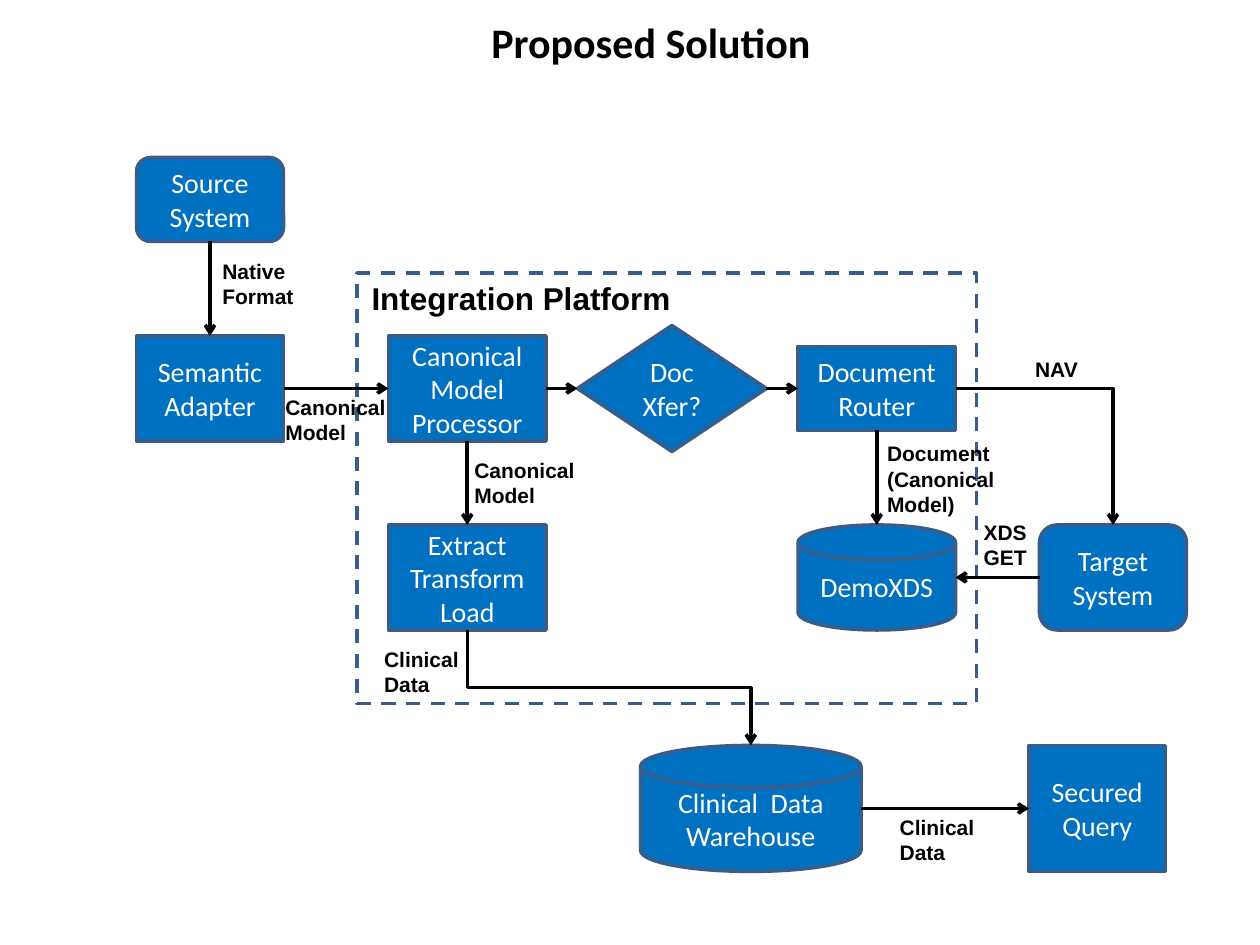
from lxml.etree import SubElement
from pptx import Presentation
from pptx.dml.color import RGBColor
from pptx.enum.dml import MSO_LINE
from pptx.enum.shapes import MSO_CONNECTOR, MSO_SHAPE
from pptx.enum.text import MSO_ANCHOR, PP_ALIGN
from pptx.oxml.ns import qn
from pptx.util import Inches, Pt

COLUMNS, ROWS = 120, 90
CELL = Inches(10) / COLUMNS
TOP, LEFT, BOTTOM, RIGHT = range(4)
BLUE, EDGE, BLACK, WHITE = "0070C0", "385D8A", "000000", "FFFFFF"
RECT, ROUNDED = MSO_SHAPE.RECTANGLE, MSO_SHAPE.ROUNDED_RECTANGLE
DISK, DIAMOND = MSO_SHAPE.FLOWCHART_MAGNETIC_DISK, MSO_SHAPE.FLOWCHART_DECISION

TITLE = dict(name="Calibri", size=Pt(24), bold=True)
NODE = dict(name="Calibri", size=Pt(16), bold=False)
HEADING = dict(name="Arial", size=Pt(18), bold=True)
LABEL = dict(name="Arial", size=Pt(12), bold=True)


def rgb(color):
    return RGBColor.from_string(color)


def grid(*cells):
    return [round(cell * CELL) for cell in cells]


def write(frame, text, style, color, align):
    frame.text = text
    for paragraph in frame.paragraphs:
        paragraph.alignment = align
        for key, value in style.items():
            setattr(paragraph.font, key, value)
        paragraph.font.color.rgb = rgb(color)


def node(slide, box, col, row, cols, rows, kind, text):
    """Blue flowchart step, placed from the corner of its region."""
    shape = slide.shapes.add_shape(kind, *grid(box[0] + col, box[1] + row, cols, rows))
    shape.shadow.inherit = False
    shape.fill.solid()
    shape.fill.fore_color.rgb = rgb(BLUE)
    shape.line.color.rgb = rgb(EDGE)
    shape.line.width = Pt(2)
    shape.text_frame.vertical_anchor = MSO_ANCHOR.MIDDLE
    write(shape.text_frame, text, NODE, WHITE, PP_ALIGN.CENTER)
    return shape


def label(slide, box, col, row, cols, text, style=LABEL):
    """Caption wide enough for its longest line and as tall as its lines."""
    rows = 1.2 + 2.4 * len(text.split("\n")) * style["size"].pt / 12
    caption = slide.shapes.add_textbox(*grid(box[0] + col, box[1] + row, cols, rows))
    caption.text_frame.word_wrap = True
    write(caption.text_frame, text, style, BLACK, PP_ALIGN.LEFT)


def side_point(shape, side):
    x = shape.left + {LEFT: 0, RIGHT: shape.width}.get(side, shape.width // 2)
    y = shape.top + {TOP: 0, BOTTOM: shape.height}.get(side, shape.height // 2)
    return x, y


def link(slide, source, source_side, target, target_side, route=MSO_CONNECTOR.STRAIGHT):
    """Arrow between two sides; disks number their sites differently, so stay unglued."""
    start, end = side_point(source, source_side), side_point(target, target_side)
    arrow = slide.shapes.add_connector(route, *start, *end)
    if source.auto_shape_type != DISK:
        arrow.begin_connect(source, source_side)
    if target.auto_shape_type != DISK:
        arrow.end_connect(target, target_side)
    arrow.line.color.rgb = rgb(BLACK)
    arrow.line.width = Pt(2)
    SubElement(arrow.line._get_or_add_ln(), qn("a:tailEnd"), type="arrow")
    properties = arrow._element.spPr
    SubElement(properties, qn("a:effectLst"))
    if route == MSO_CONNECTOR.ELBOW and source_side == BOTTOM:
        # Down, across, down: a quarter turn about the same centre
        width, height = end[0] - start[0], end[1] - start[1]
        arrow.left, arrow.top = start[0] + (width - height) // 2, start[1] + (height - width) // 2
        arrow.width, arrow.height = height, width
        properties.xfrm.set("rot", "16200000")
        properties.xfrm.set("flipH", "1")
    elif route == MSO_CONNECTOR.ELBOW:
        # Across, then down
        properties.find(qn("a:prstGeom")).set("prst", "bentConnector2")


def title(slide, box):
    heading = slide.shapes.add_textbox(*grid(*box))
    heading.text_frame.word_wrap = True
    write(heading.text_frame, "Proposed Solution", TITLE, BLACK, PP_ALIGN.CENTER)


def source_side(slide, box):
    width = box[2]
    system = node(slide, box, 0, 0, width, 8, ROUNDED, "Source System")
    adapter = node(slide, box, 0, 17, width, 10, RECT, "Semantic Adapter")
    link(slide, system, BOTTOM, adapter, TOP)
    label(slide, box, 7, 9, 10, "Native\nFormat")
    label(slide, box, 13, 22, 13, "Canonical\nModel")
    return adapter


def platform(slide, box):
    frame = slide.shapes.add_shape(RECT, *grid(*box))
    frame.shadow.inherit = False
    frame.fill.background()
    frame.line.color.rgb = rgb(EDGE)
    frame.line.width = Pt(2)
    frame.line.dash_style = MSO_LINE.DASH
    label(slide, box, 0.2, 0, 33, "Integration Platform", HEADING)

    # Upper row, then the stores below it
    processor = node(slide, box, 3, 6, 15, 10, RECT, "Canonical\nModel\nProcessor")
    decision = node(slide, box, 21, 5, 18, 12, DIAMOND, "Doc Xfer?")
    router = node(slide, box, 42, 7, 15, 8, RECT, "Document\nRouter")
    loader = node(slide, box, 3, 24, 15, 10, RECT, "Extract\nTransform\nLoad")
    store = node(slide, box, 42, 24, 15, 10, DISK, "DemoXDS")
    link(slide, processor, RIGHT, decision, LEFT)
    link(slide, decision, RIGHT, router, LEFT)
    link(slide, processor, BOTTOM, loader, TOP)
    link(slide, router, BOTTOM, store, TOP)
    label(slide, box, 10, 17, 13, "Canonical\nModel")
    label(slide, box, 49.3, 15.4, 14, "Document\n(Canonical\nModel)")
    label(slide, box, 1.4, 35, 10, "Clinical\nData")
    return processor, router, loader, store


def target_side(slide, box):
    system = node(slide, box, 6, 17, 14, 10, ROUNDED, "Target\nSystem")
    label(slide, box, 4.4, 0.4, 7.5, "NAV")
    label(slide, box, -0.5, 15.9, 7.5, "XDS\nGET")
    return system


def reporting(slide, box):
    height = box[3]
    warehouse = node(slide, box, 0, 0, 21, height, DISK, "Clinical  Data\nWarehouse")
    query = node(slide, box, 37, 0, 13, height, RECT, "Secured\nQuery")
    link(slide, warehouse, RIGHT, query, LEFT)
    label(slide, box, 23.5, 6, 10, "Clinical\nData")
    return warehouse


def main():
    deck = Presentation()
    deck.slide_width, deck.slide_height = grid(COLUMNS, ROWS)
    slide = deck.slides.add_slide(deck.slide_layouts[6])

    # Regions: left, top, width, height in grid cells
    title(slide, (8, 1, 108, 13))
    processor, router, loader, store = platform(slide, (34, 26, 59, 41))
    adapter = source_side(slide, (13, 15, 14, 27))
    target = target_side(slide, (93, 33, 20, 27))
    warehouse = reporting(slide, (61, 71, 50, 12))

    # Flows between regions
    link(slide, adapter, RIGHT, processor, LEFT)
    link(slide, target, LEFT, store, RIGHT)
    link(slide, router, RIGHT, target, TOP, MSO_CONNECTOR.ELBOW)
    link(slide, loader, BOTTOM, warehouse, TOP, MSO_CONNECTOR.ELBOW)
    deck.save("out.pptx")


if __name__ == "__main__":
    main()
